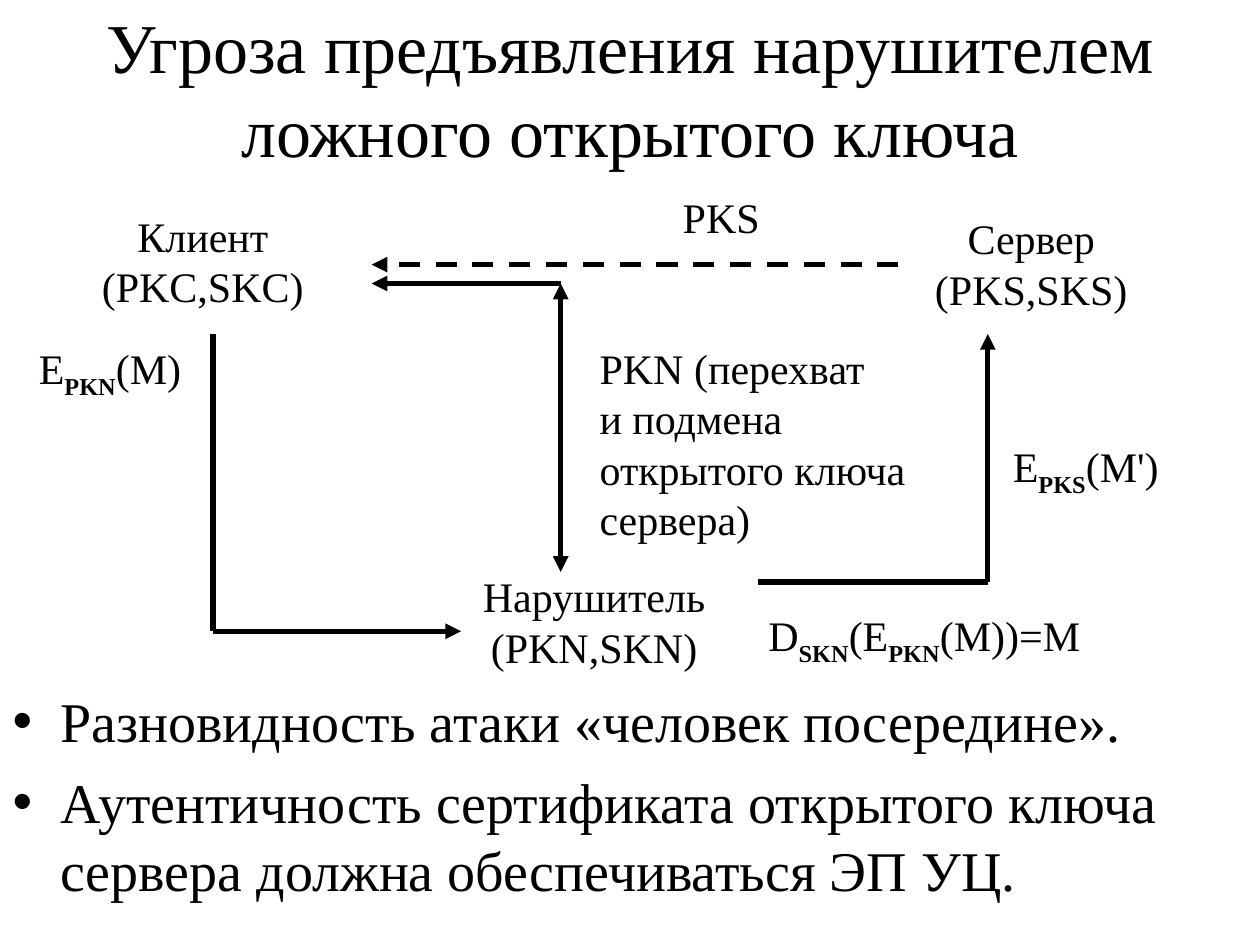
from dataclasses import dataclass

from lxml.etree import SubElement
from pptx import Presentation
from pptx.dml.color import RGBColor
from pptx.enum.dml import MSO_LINE
from pptx.enum.shapes import MSO_CONNECTOR
from pptx.enum.text import MSO_ANCHOR, MSO_AUTO_SIZE, PP_ALIGN
from pptx.oxml.ns import qn
from pptx.util import Inches, Pt

BLACK = RGBColor(0, 0, 0)
FONT = "Times New Roman"

PARTIES = [
    ("Клиент\v(PKC,SKC)", 7.1, 2.2, 18),
    ("Сервер\v(PKS,SKS)", 73.2, 2.4, 17.3),
    ("Нарушитель\v(PKN,SKN)", 37.3, 30.8, 19.7),
]
KEYS = [
    ("PKS", 53.2, 0.7, 8.1, 5),
    ("PKN (перехват\vи подмена\vоткрытого ключа\vсервера)", 46.6, 12.7, 26.5, 17),
]
FORMULAS = [
    ("E|PKN|(M)", 2.1, 12.7, 13.3),
    ("D|SKN|(E|PKN|(M))=M", 60, 33.9, 27),
    ("E|PKS|(M')", 79.4, 20.5, 13.6),
]
ARROWS = [
    ((71.3, 7), (29.5, 7), ["tailEnd"], True),
    ((44.5, 31.4), (44.5, 8.5), ["headEnd", "tailEnd"], False),
    ((44.5, 8.5), (29.5, 8.5), ["tailEnd"], False),
    ((16.9, 12.5), (16.9, 36.1), [], False),
    ((16.9, 36.1), (36.6, 36.1), ["tailEnd"], False),
    ((60.2, 32.2), (78.4, 32.2), [], False),
    ((78.4, 32.2), (78.4, 12.5), ["tailEnd"], False),
]
CONCLUSIONS = [
    "Разновидность атаки «человек посередине».",
    "Аутентичность сертификата открытого ключа сервера должна обеспечиваться ЭП УЦ.",
]


@dataclass
class Box:
    """A region divided into a grid of columns and rows."""
    left: int
    top: int
    width: int
    height: int
    columns: int = 100
    rows: int = 40

    def across(self, count):
        """Return the length of some columns."""
        return round(self.width * count / self.columns)

    def down(self, count):
        """Return the length of some rows."""
        return round(self.height * count / self.rows)

    def point(self, column, row):
        """Return the slide position of a grid point."""
        return self.left + self.across(column), self.top + self.down(row)


def style(paragraph, size, align):
    """Format a paragraph in the slide's typeface."""
    paragraph.alignment = align
    paragraph.font.name = FONT
    paragraph.font.size = Pt(size)
    paragraph.font.color.rgb = BLACK


def place(placeholder, box):
    """Move a placeholder onto a box and fix its text size."""
    placeholder.left, placeholder.top = box.left, box.top
    placeholder.width, placeholder.height = box.width, box.height
    placeholder.text_frame.auto_size = MSO_AUTO_SIZE.NONE


def fill_title(title, box):
    """Write the heading."""
    place(title, box)
    title.text_frame.text = "Угроза предъявления нарушителем ложного открытого ключа"
    title.text_frame.vertical_anchor = MSO_ANCHOR.MIDDLE
    style(title.text_frame.paragraphs[0], 40, PP_ALIGN.CENTER)


def fill_conclusions(body, box):
    """Write the bulleted conclusions."""
    place(body, box)
    body.text_frame.text = "\n".join(CONCLUSIONS)
    for conclusion in body.text_frame.paragraphs:
        style(conclusion, 32, PP_ALIGN.LEFT)
        conclusion.space_before = Pt(8)
        properties = conclusion._p.get_or_add_pPr()
        properties.set("marL", str(Inches(0.38)))
        properties.set("indent", str(-Inches(0.38)))


def add_label(slide, box, text, column, row, columns, rows, align=PP_ALIGN.LEFT):
    """Add a label whose parts between bars are bold subscripts."""
    label = slide.shapes.add_textbox(
        *box.point(column, row), box.across(columns), box.down(rows))
    label.text_frame.word_wrap = False
    label.text_frame.auto_size = MSO_AUTO_SIZE.SHAPE_TO_FIT_TEXT
    paragraph = label.text_frame.paragraphs[0]
    style(paragraph, 24, align)
    first, *rest = text.split("|")
    paragraph.text = first
    for index, part in enumerate(rest):
        run = paragraph.add_run()
        run.text = part
        if index % 2 == 0:
            run.font.bold = True
            run.font._element.set("baseline", "-25000")


def add_arrow(slide, box, start, end, heads, dashed):
    """Add a line with triangular heads at the named ends."""
    arrow = slide.shapes.add_connector(
        MSO_CONNECTOR.STRAIGHT, *box.point(*start), *box.point(*end))
    arrow.line.color.rgb = BLACK
    arrow.line.width = Pt(3)
    if dashed:
        arrow.line.dash_style = MSO_LINE.DASH
    for head in heads:
        SubElement(arrow.line._get_or_add_ln(), qn("a:" + head), type="triangle")
    SubElement(arrow._element.spPr, qn("a:effectLst"))


def draw_exchange(slide, box):
    """Draw the key exchange between client, server and intruder."""
    for text, column, row, columns in PARTIES:
        add_label(slide, box, text, column, row, columns, 9, PP_ALIGN.CENTER)
    for key in KEYS:
        add_label(slide, box, *key)
    for formula in FORMULAS:
        add_label(slide, box, *formula, 5.6)
    for arrow in ARROWS:
        add_arrow(slide, box, *arrow)


def main():
    """Build and save the slide."""
    deck = Presentation()
    deck.slide_width, deck.slide_height = Inches(10), Inches(7.5)
    slide = deck.slides.add_slide(deck.slide_layouts[1])
    width = deck.slide_width
    fill_title(slide.shapes.title, Box(0, 0, width, Inches(1.39)))
    fill_conclusions(slide.placeholders[1], Box(0, Inches(5.4), width, Inches(2.1)))
    draw_exchange(slide, Box(0, Inches(1.4), width, Inches(4)))
    deck.save("out.pptx")


main()
